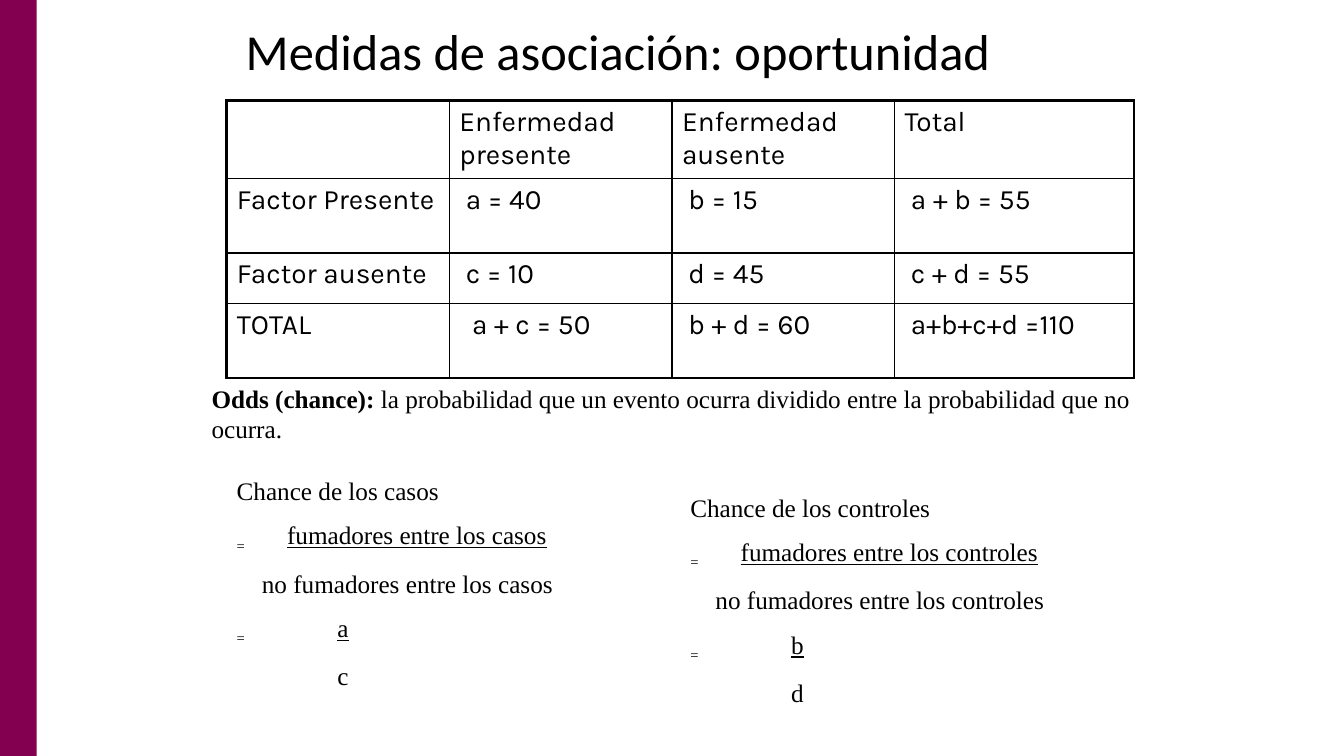
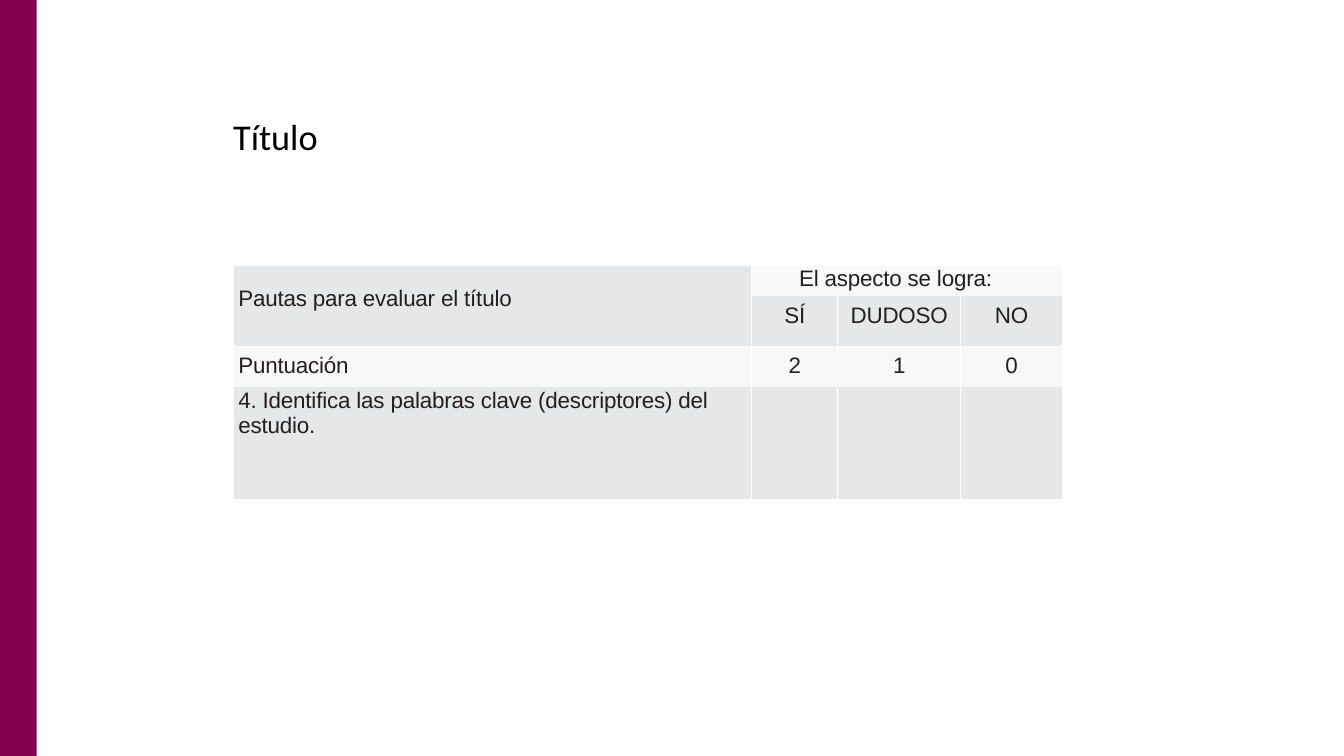
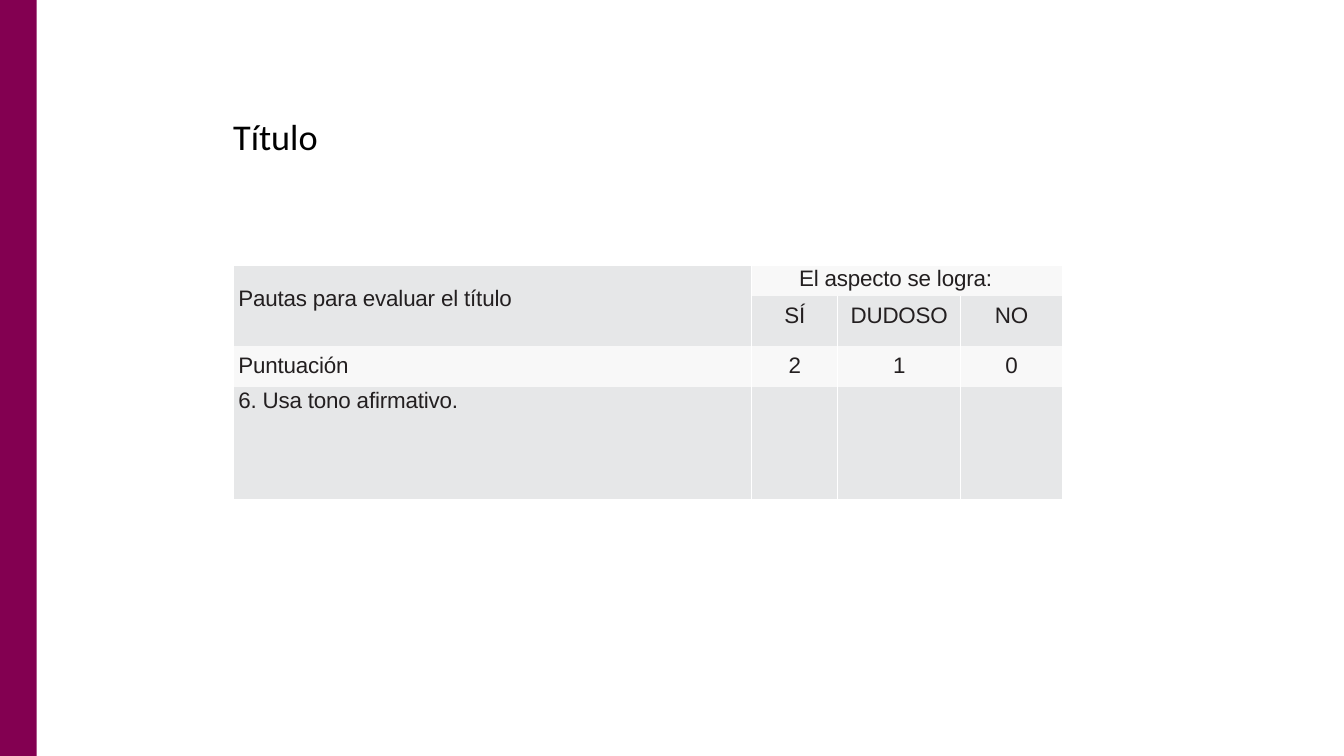
import pptx
import pptx.dml.color
import pptx.enum.shapes
import pptx.enum.text
import pptx.oxml
import pptx.oxml.ns
import pptx.util

PX = 9525
COLORS = {"band": "830051", "black": "000000", "ink": "231F20",
          "gray": "E6E7E8", "pale": "F8F8F8", "white": "FFFFFF"}
SANS, SERIF, TABLE_FONT, TITLE_FONT = "Arial", "Times New Roman", "Karla", "Calibri"
ALIGN = pptx.enum.text.PP_ALIGN

ODDS_ROWS = [
    ["", "Enfermedad presente", "Enfermedad ausente", "Total"],
    ["Factor Presente", "a = 40", "b = 15", "a + b = 55"],
    ["Factor ausente", "c = 10", "d = 45", "c + d = 55"],
    ["TOTAL", "a + c = 50", "b + d = 60", "a+b+c+d =110"],
]


def color(name):
    return pptx.dml.color.RGBColor.from_string(COLORS[name])


def px(*lengths):
    return [pptx.util.Emu(length * PX) for length in lengths]


def style(para, font, size, ink="black"):
    para.font.name = font
    para.font.size = pptx.util.Pt(size)
    para.font.color.rgb = color(ink)


def indent(para, left):
    properties = para._p.get_or_add_pPr()
    properties.set("marL", str(left * PX))
    properties.set("indent", "0")


def add_tabs(para, stops):
    marks = "".join(f'<a:tab pos="{stop * PX}" algn="l"/>' for stop in stops)
    para._p.get_or_add_pPr().append(pptx.oxml.parse_xml(
        f'<a:tabLst {pptx.oxml.ns.nsdecls("a")}>{marks}</a:tabLst>'))


def set_margins(target, left, top, right, bottom):
    (target.margin_left, target.margin_top,
     target.margin_right, target.margin_bottom) = px(left, top, right, bottom)


def add_span(para, text):
    span = para.add_run()
    span.text = text
    return span


def set_borders(cell, widths, name):
    properties = cell._tc.get_or_add_tcPr()
    for position, (side, width) in enumerate(zip("LRTB", widths)):
        paint = (f'<a:solidFill><a:srgbClr val="{COLORS[name]}"/></a:solidFill>'
                 if width else "<a:noFill/>")
        properties.insert(position, pptx.oxml.parse_xml(
            f'<a:ln{side} {pptx.oxml.ns.nsdecls("a")} w="{int(width * 12700)}">'
            f"{paint}</a:ln{side}>"))


def add_grid(page, left, top, widths, heights):
    table = page.shapes.add_table(
        len(heights), len(widths),
        *px(left, top, sum(widths), sum(heights))).table
    table.first_row = table.horz_banding = False
    for column, width in zip(table.columns, px(*widths)):
        column.width = width
    for row, height in zip(table.rows, px(*heights)):
        row.height = height
    return table


def add_band(deck, page):
    band = page.shapes.add_shape(pptx.enum.shapes.MSO_SHAPE.RECTANGLE,
                                 *px(0, 0, 35, 720))
    band.shadow.inherit = False
    band.fill.solid()
    band.fill.fore_color.rgb = color("band")
    band.line.fill.background()
    deck.slide_master.element.cSld.spTree.insert(2, band.element)


def add_page(deck, text, box, size, margins):
    page = deck.slides.add_slide(deck.slide_layouts[5])
    title = page.shapes.title
    title.left, title.top, title.width, title.height = px(*box)
    frame = title.text_frame
    frame.word_wrap = True
    frame.auto_size = pptx.enum.text.MSO_AUTO_SIZE.NONE
    frame.vertical_anchor = pptx.enum.text.MSO_ANCHOR.MIDDLE
    set_margins(frame, *margins)
    frame.text = text
    para = frame.paragraphs[0]
    para.alignment = ALIGN.LEFT
    para.line_spacing = 0.9
    style(para, TITLE_FONT, size)
    return page


def add_text_frame(page, *box):
    frame = page.shapes.add_textbox(*px(*box)).text_frame
    frame.word_wrap = True
    return frame


def add_odds_table(page, left, top):
    table = add_grid(page, left, top, [212, 212, 212, 228], [74, 71, 48, 71])
    last = len(ODDS_ROWS) - 1
    for row, texts in enumerate(ODDS_ROWS):
        for column, text in enumerate(texts):
            cell = table.cell(row, column)
            cell.fill.background()
            edges = [column == 0, column == last, row == 0, row == last]
            set_borders(cell, [2.25 if edge else 1 for edge in edges], "black")
            cell.text = text
            para = cell.text_frame.paragraphs[0]
            if row and column:
                indent(para, 12 if (row, column) == (last, 1) else 6)
            style(para, TABLE_FONT, 20)


def add_definition(page, *box):
    para = add_text_frame(page, *box).paragraphs[0]
    style(para, SERIF, 18)
    add_span(para, "Odds (chance): ").font.bold = True
    add_span(para, "la probabilidad que un evento ocurra dividido entre "
                   "la probabilidad que no ocurra.")


def add_chance(page, box, group, rule_end, top_letter, bottom_letter):
    frame = add_text_frame(page, *box)
    lines = [
        (f"Chance de los {group}", 0, []),
        (f"fumadores entre los {group}\t", 0, [20, rule_end]),
        (f"no fumadores entre los {group}", 24, []),
        (f"\t{top_letter}\t", 0, [20, 73, 97]),
        (bottom_letter, 96, []),
    ]
    for number, (text, left, stops) in enumerate(lines):
        para = frame.add_paragraph() if number else frame.paragraphs[0]
        indent(para, left)
        if number:
            para.space_before = pptx.util.Pt(10)
        if stops:
            add_tabs(para, stops)
        style(para, SERIF, 18)
        if stops:
            equals = add_span(para, "=\t")
            equals._r.get_or_add_rPr().set("baseline", "-25000")
        add_span(para, text).font.underline = True if stops else None


def fill_score_cell(cell, text, fill, top, left=None):
    cell.fill.solid()
    cell.fill.fore_color.rgb = color(fill)
    set_borders(cell, [0.75, 0.75, 0, 0], "white")
    set_margins(cell, 0, top, 0, 0)
    cell.text = text
    for para in cell.text_frame.paragraphs:
        if left is None:
            para.alignment = ALIGN.CENTER
        else:
            indent(para, left)
        style(para, SANS, 16, "ink")
        para.font._element.set("spc", "-10")


def add_score_table(page, left, top, guideline):
    table = add_grid(page, left, top, [494, 82, 117, 97], [29, 48, 39, 106])
    table.cell(0, 0).merge(table.cell(1, 0))
    table.cell(0, 1).merge(table.cell(0, 3))
    fill_score_cell(table.cell(0, 0), "Pautas para evaluar el título", "gray", 20, 5)
    fill_score_cell(table.cell(0, 1), "El aspecto se logra:", "pale", 1, 45)
    fill_score_cell(table.cell(2, 0), "Puntuación", "pale", 7, 5)
    fill_score_cell(table.cell(3, 0), guideline, "gray", 1, 5)
    for column, (label, score) in enumerate(
            [("SÍ", "2"), ("DUDOSO", "1"), ("NO", "0")], 1):
        fill_score_cell(table.cell(1, column), label, "gray", 7)
        fill_score_cell(table.cell(2, column), score, "pale", 7)
        fill_score_cell(table.cell(3, column), "", "gray", 1)


def add_odds_page(deck):
    page = add_page(deck, "Medidas de asociación: oportunidad",
                    (224, 16, 856, 72), 36, (10, 5, 10, 5))
    add_band(deck, page)
    add_definition(page, 192, 360, 896, 67)
    add_chance(page, (216, 448, 392, 212), "casos", 285, "a", "c")
    add_odds_table(page, 216, 96)
    add_chance(page, (648, 464, 440, 212), "controles", 321, "b", "d")


def add_score_page(deck, guideline):
    page = add_page(deck, "Título", (220, 110, 86, 43), 25.9, (2, 2, 0, 0))
    add_score_table(page, 222, 253, guideline)


def main():
    deck = pptx.Presentation()
    deck.slide_width, deck.slide_height = px(1280, 720)
    add_odds_page(deck)
    add_score_page(deck, "4. Identifica las palabras clave (descriptores) del\nestudio.")
    add_score_page(deck, "6. Usa tono afirmativo.")
    deck.save("out.pptx")


if __name__ == "__main__":
    main()
